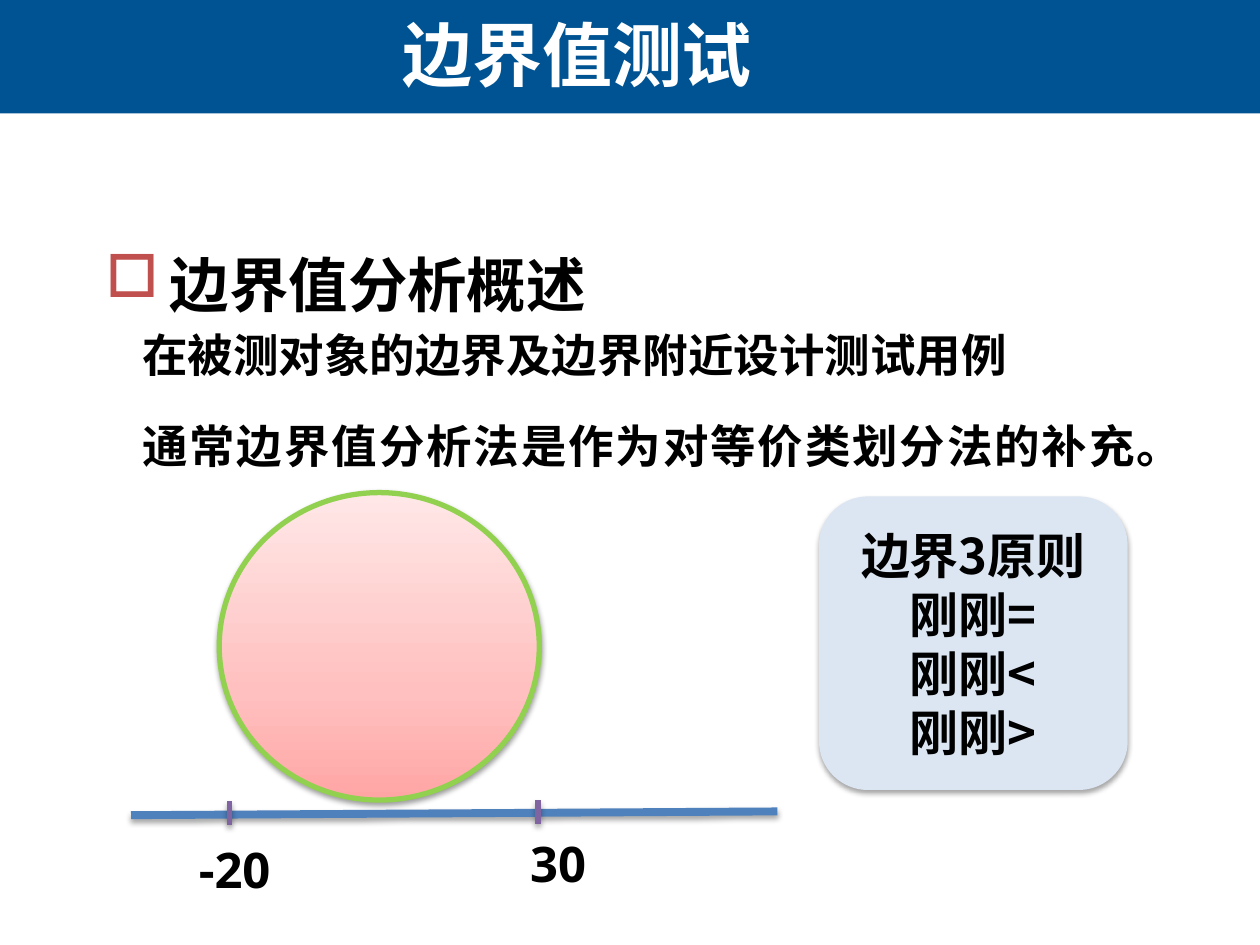
from copy import deepcopy
from lxml import etree
from pptx import Presentation
from pptx import util as u
from pptx.dml.color import RGBColor
from pptx.enum import shapes as sh, text as tx
from pptx.oxml.ns import qn

NAVY = RGBColor(0x00, 0x53, 0x92)
WHITE = RGBColor(0xFF, 0xFF, 0xFF)
BLACK = RGBColor(0, 0, 0)
GREEN = RGBColor(0x92, 0xD0, 0x50)
BLUE = RGBColor(0x4F, 0x81, 0xBD)
PURPLE = RGBColor(0x80, 0x64, 0xA2)
PALE = RGBColor(0xDC, 0xE6, 0xF2)
ROSES = ((0, RGBColor(0xFF, 0xA6, 0xA5)),
         (0.35, RGBColor(0xFF, 0xC0, 0xBF)),
         (1, RGBColor(0xFF, 0xE7, 0xE7)))
RED = "C0504D"
CJK, LATIN, SANS = "Noto Sans CJK SC", "Calibri", "Open Sans"
ALIGN = tx.PP_ALIGN


def add(node, tag, **attrs):
    """Append a DrawingML child and return it."""
    return etree.SubElement(node, qn("a:" + tag), attrs)


class Deck:
    """Holds the style and the current slide."""

    def __init__(self, wide, high):
        """Open a deck with one blank slide."""
        self.prs = Presentation()
        self.prs.slide_width = u.Inches(wide)
        self.prs.slide_height = u.Inches(high)
        self.slide = self.prs.slides.add_slide(self.prs.slide_layouts[6])
        self.items = self.slide.shapes

    def shade(self, item, alpha=35, dist=1.8):
        """Give an item a soft shadow below it."""
        spot = add(add(item._element.spPr, "effectLst"), "outerShdw",
                   blurRad=str(u.Pt(3.1)), dist=str(u.Pt(dist)),
                   dir="5400000", rotWithShape="0")
        add(add(spot, "srgbClr", val="000000"), "alpha", val=str(alpha * 1000))

    def shape(self, kind, box, fill=None):
        """Add a preset shape without a line."""
        item = self.items.add_shape(kind, *map(u.Inches, box))
        if fill is not None:
            item.fill.solid()
            item.fill.fore_color.rgb = fill
        item.line.fill.background()
        return item

    def blend(self, item, stops):
        """Fill an item with a gradient that runs upward."""
        item.fill.gradient()
        item.fill.gradient_angle = 90
        first = item._element.spPr.find(".//" + qn("a:gs"))
        first.addnext(deepcopy(first))
        for stop, (place, color) in zip(item.fill.gradient_stops, stops):
            stop.position = place
            stop.color.rgb = color

    def line(self, start, end, color, width):
        """Add a straight line with a shadow."""
        item = self.items.add_connector(
            sh.MSO_CONNECTOR.STRAIGHT, *map(u.Inches, start + end))
        item.line.color.rgb = color
        item.line.width = u.Pt(width)
        self.shade(item)

    def label(self, item, lines, size, font, color=BLACK, align=ALIGN.LEFT,
              anchor=tx.MSO_ANCHOR.TOP, wrap=True):
        """Put bold lines into an item and return its paragraphs."""
        frame = item.text_frame
        frame.word_wrap = wrap
        frame.vertical_anchor = anchor
        frame.text = "\n".join(lines)
        for par in frame.paragraphs:
            par.alignment = align
            par.font.size = u.Pt(size)
            par.font.name = font
            par.font.bold = True
            par.font.color.rgb = color
        return frame.paragraphs

    def text(self, box, lines, size, font, **style):
        """Add a text box and return its paragraphs."""
        item = self.items.add_textbox(*map(u.Inches, box))
        return self.label(item, lines, size, font, **style)

    def indent(self, par, left, first=0, mark=None):
        """Set a paragraph's indents and its bullet."""
        props = par._p.get_or_add_pPr()
        props.set("marL", str(u.Inches(left)))
        props.set("indent", str(u.Inches(first)))
        par.space_before = u.Pt(par.font.size.pt * 0.2)
        if mark:
            add(add(props, "buClr"), "srgbClr", val=RED)
            add(props, "buChar", char=mark)
            props.append(props.find(qn("a:defRPr")))


def main():
    """Build the slide and save it."""
    deck = Deck(10, 7.5)
    kinds = sh.MSO_SHAPE
    middle = tx.MSO_ANCHOR.MIDDLE
    deck.shape(kinds.RECTANGLE, (0, 0, 10, 0.9), NAVY).shadow.inherit = False

    head, = deck.text((0.74, 1.94, 8.58, 0.62), ["边界值分析概述"], 34, LATIN,
                      align=ALIGN.JUSTIFY, anchor=middle)
    deck.indent(head, 0.51, -0.51, "□")
    body = deck.text((0.51, 2.33, 8.62, 4.83),
                     ["在被测对象的边界及边界附近设计测试用例",
                      "通常边界值分析法是作为对等价类划分法的补充。"],
                     26, LATIN, align=ALIGN.JUSTIFY)
    for par in body:
        par.line_spacing = 1.5
        deck.indent(par, 0.52)

    ball = deck.shape(kinds.OVAL, (1.74, 3.91, 2.54, 2.44))
    deck.blend(ball, ROSES)
    ball.line.color.rgb = GREEN
    ball.line.width = u.Pt(3)
    deck.shade(ball, 38, 1.6)

    deck.line((1.04, 6.47), (6.17, 6.44), BLUE, 4.5)
    for x, y, left, top, wide, value in (
            (1.82, 6.36, 1.48, 6.61, 2.24, "-20"),
            (4.27, 6.35, 4.11, 6.57, 1.07, "30")):
        deck.line((x, y), (x, y + 0.19), PURPLE, 3)
        deck.text((left, top, wide, 0.57), [value], 28, SANS)

    card = deck.shape(kinds.ROUNDED_RECTANGLE, (6.5, 3.94, 2.45, 2.33), PALE)
    deck.shade(card)
    deck.label(card, ["边界3原则", "刚刚=", "刚刚<", "刚刚>"], 28, CJK,
               align=ALIGN.CENTER, anchor=middle)

    deck.text((2.94, 0.04, 3.28, 0.77), ["边界值测试"], 40, CJK, color=WHITE,
              align=ALIGN.CENTER, wrap=False)
    deck.prs.save("out.pptx")


main()
